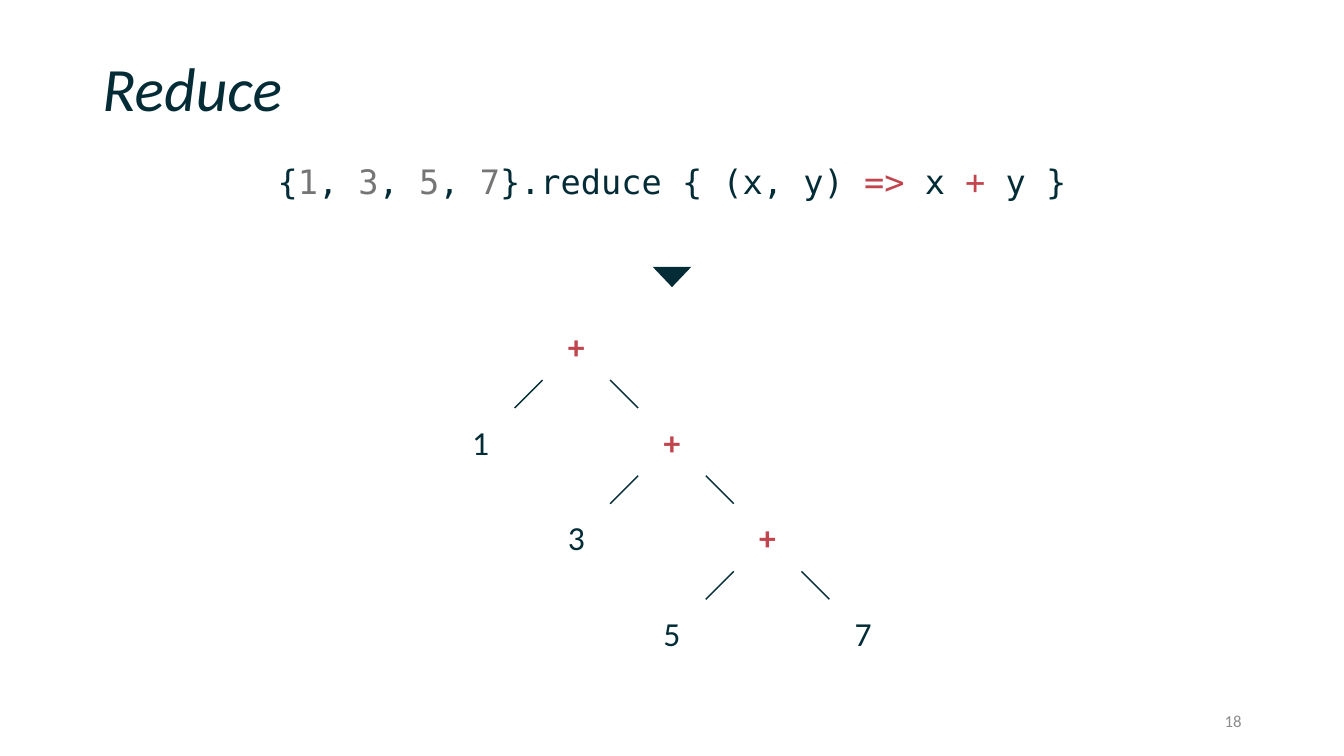
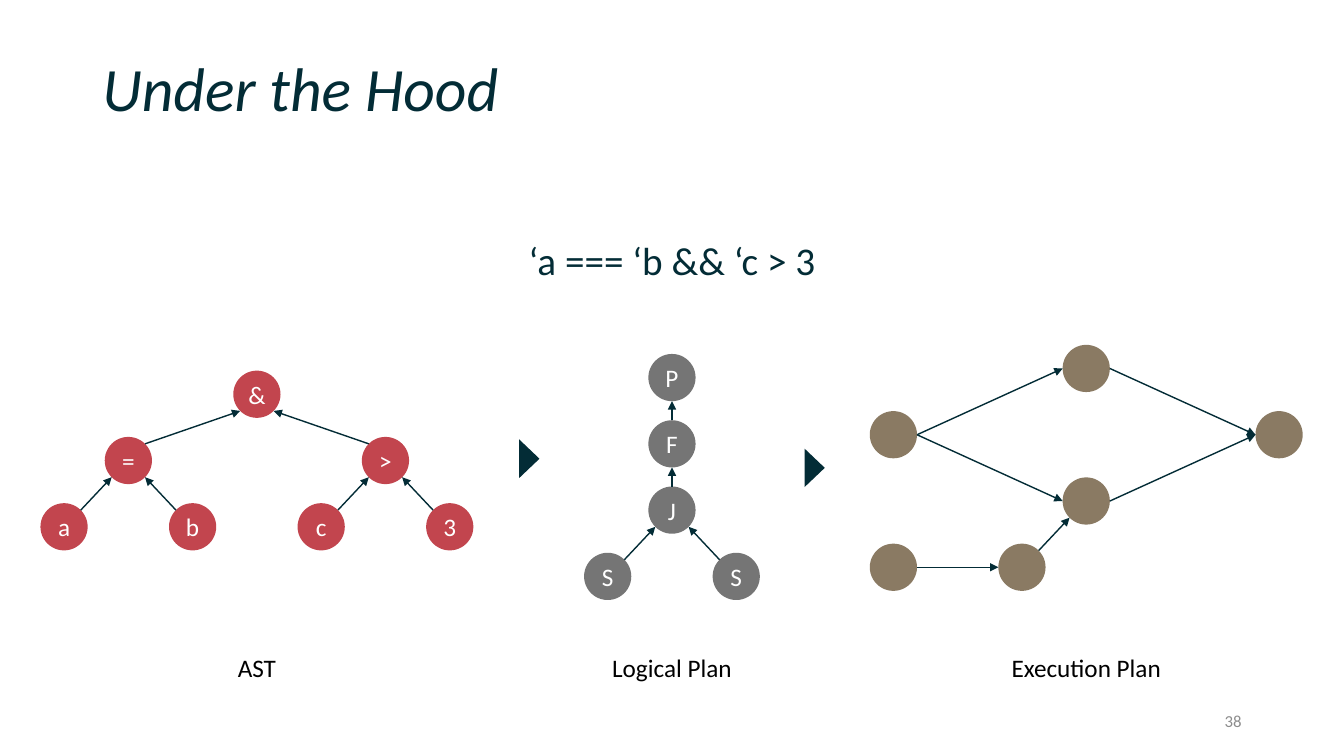
from lxml.etree import SubElement
from pptx import Presentation
from pptx.dml.color import RGBColor
from pptx.enum.shapes import MSO_CONNECTOR as CONN, MSO_SHAPE as SHAPE
from pptx.enum.text import MSO_ANCHOR as ANCHOR, PP_ALIGN as ALIGN
from pptx.oxml.ns import qn
from pptx.util import Cm, Pt

INK, RED, GRAY = "032C36", "C2454E", "757575"
TAN, PALE, WHITE, BLACK = "8A7A63", "8C8C8C", "FFFFFF", "000000"
SANS, MONO = "Calibri", "DejaVu Sans Mono"
WIDTH, HEIGHT = 33.87, 19.05
MARGIN, CONTENT_W = 2.33, 29.21


def rgb(value):
    return RGBColor.from_string(value)


def add_runs(p, runs, size, font=SANS, bold=False, italic=False):
    for text, color in runs:
        r = p.add_run()
        r.text = text
        r.font.name = font
        r.font.size = Pt(size)
        r.font.bold = bold
        r.font.italic = italic
        r.font.color.rgb = rgb(color)


def add_text(s, box, runs, size, align=ALIGN.CENTER, anchor=ANCHOR.TOP,
             spacing=1.0, wrap=True, **style):
    tf = s.shapes.add_textbox(*map(Cm, box)).text_frame
    tf.word_wrap = wrap
    tf.vertical_anchor = anchor
    p = tf.paragraphs[0]
    p.alignment = align
    p.line_spacing = spacing
    add_runs(p, runs, size, **style)


def add_slide(prs, title, number):
    s = prs.slides.add_slide(prs.slide_layouts[6])
    add_text(s, (MARGIN, 1.01, CONTENT_W, 2.58), [(title, INK)], 44, ALIGN.LEFT,
             ANCHOR.MIDDLE, 0.9, italic=True)
    add_text(s, (23.92, 17.66, 7.62, 1.01), [(str(number), PALE)], 12,
             ALIGN.RIGHT, ANCHOR.MIDDLE)
    return s


def add_marker(s, cx, cy, rotation):
    w, h = 0.97, 0.51
    sp = s.shapes.add_shape(SHAPE.ISOSCELES_TRIANGLE,
                            *map(Cm, (cx - w / 2, cy - h / 2, w, h)))
    sp.rotation = rotation
    sp.shadow.inherit = False
    sp.fill.solid()
    sp.fill.fore_color.rgb = rgb(INK)
    sp.line.fill.background()


def add_node(s, left, top, size, label, fill, color, points, bold):
    sp = s.shapes.add_shape(SHAPE.OVAL, *map(Cm, (left, top, size, size)))
    sp.shadow.inherit = False
    sp.line.fill.background()
    if fill:
        sp.fill.solid()
        sp.fill.fore_color.rgb = rgb(fill)
    else:
        sp.fill.background()
    if label:
        tf = sp.text_frame
        tf.margin_left = tf.margin_right = tf.margin_top = tf.margin_bottom = 0
        tf.vertical_anchor = ANCHOR.MIDDLE
        p = tf.paragraphs[0]
        p.alignment = ALIGN.CENTER
        add_runs(p, [(label, color)], points, bold=bold)


def add_edge(s, start, end, arrow):
    cx = s.shapes.add_connector(CONN.STRAIGHT, *map(Cm, start + end))
    cx.line.color.rgb = rgb(INK)
    cx.line.width = Pt(1)
    if arrow:
        SubElement(cx.line._get_or_add_ln(), qn("a:tailEnd"), type="triangle")
    SubElement(cx._element.spPr, qn("a:effectLst"))


def sign(value):
    return (value > 0) - (value < 0)


def add_graph(s, box, nodes, edges, size, fill=None, points=18, arrow=True):
    left, top, col_step, row_step = box

    def rim(node, dx, dy):
        reach = size / 2 / ((dx * dx + dy * dy) ** 0.5)
        return (left + node[0] * col_step + size / 2 + dx * reach,
                top + node[1] * row_step + size / 2 + dy * reach)

    for (col, row), label in nodes.items():
        operator = not fill and label == "+"
        color = WHITE if fill else RED if operator else INK
        add_node(s, left + col * col_step, top + row * row_step, size, label,
                 fill, color, points, operator)
    for a, b in edges:
        dx, dy = b[0] - a[0], b[1] - a[1]
        flat = abs(dx) > 2 * abs(dy)
        dx, dy = sign(dx), 0 if flat else sign(dy)
        add_edge(s, rim(a, dx, dy), rim(b, -dx, -dy), arrow)


def add_stage(s, left, top, cols, caption, caption_w, nodes, edges, fill):
    size, col_step, row_step = 1.19, 1.62, 1.67
    add_graph(s, (left, top, col_step, row_step), nodes, edges, size, fill)
    center = left + (cols * col_step + size) / 2
    add_text(s, (center - caption_w / 2, 16.31, caption_w, 1.02),
             [(caption, BLACK)], 18, wrap=False)


def reduce_slide(prs):
    s = add_slide(prs, "Reduce", 18)
    code = [("{", INK), ("1", GRAY), (", ", INK), ("3", GRAY), (", ", INK),
            ("5", GRAY), (", ", INK), ("7", GRAY), ("}.reduce { (x, y) ", INK),
            ("=>", RED), (" x ", INK), ("+", RED), (" y }", INK)]
    add_text(s, (MARGIN, 4.04, CONTENT_W, 13.11), code, 24, spacing=0.9, font=MONO)
    nodes = {(1, 0): "+", (0, 1): "1", (2, 1): "+", (1, 2): "3",
             (3, 2): "+", (2, 3): "5", (4, 3): "7"}
    edges = [((n, n - 1), (n + side, n)) for n in (1, 2, 3) for side in (-1, 1)]
    add_graph(s, (10.91, 7.52, 2.41, 2.41), nodes, edges, 2.41,
              points=24, arrow=False)
    add_marker(s, WIDTH / 2, 6.98, 180)


def hood_slide(prs):
    s = add_slide(prs, "Under the Hood", 38)
    add_text(s, (13.01, 5.82, 7.85, 1.45), [("‘a === ‘b && ‘c > 3", INK)], 28,
             wrap=False)
    add_stage(s, 1.02, 9.34, 6, "AST", 1.47,
              {(3, 0): "&", (1, 1): "=", (5, 1): ">", (0, 2): "a",
               (2, 2): "b", (4, 2): "c", (6, 2): "3"},
              [((1, 1), (3, 0)), ((5, 1), (3, 0)), ((0, 2), (1, 1)),
               ((2, 2), (1, 1)), ((4, 2), (5, 1)), ((6, 2), (5, 1))], RED)
    add_stage(s, 14.72, 8.92, 2, "Logical Plan", 3.56,
              {(1, 0): "P", (1, 1): "F", (1, 2): "J", (0, 3): "S", (2, 3): "S"},
              [((0, 3), (1, 2)), ((2, 3), (1, 2)), ((1, 2), (1, 1)),
               ((1, 1), (1, 0))], GRAY)
    add_stage(s, 21.92, 8.69, 6, "Execution Plan", 4.32,
              dict.fromkeys([(0, 1), (3, 0), (0, 3), (3, 2), (2, 3), (6, 1)], ""),
              [((2, 3), (3, 2)), ((0, 3), (2, 3)), ((0, 1), (3, 2)),
               ((0, 1), (3, 0)), ((3, 0), (6, 1)), ((3, 2), (6, 1))], TAN)
    add_marker(s, 13.34, 11.56, 90)
    add_marker(s, 20.53, 11.79, 90)


def main():
    prs = Presentation()
    prs.slide_width, prs.slide_height = Cm(WIDTH), Cm(HEIGHT)
    reduce_slide(prs)
    hood_slide(prs)
    prs.save("out.pptx")


if __name__ == "__main__":
    main()
